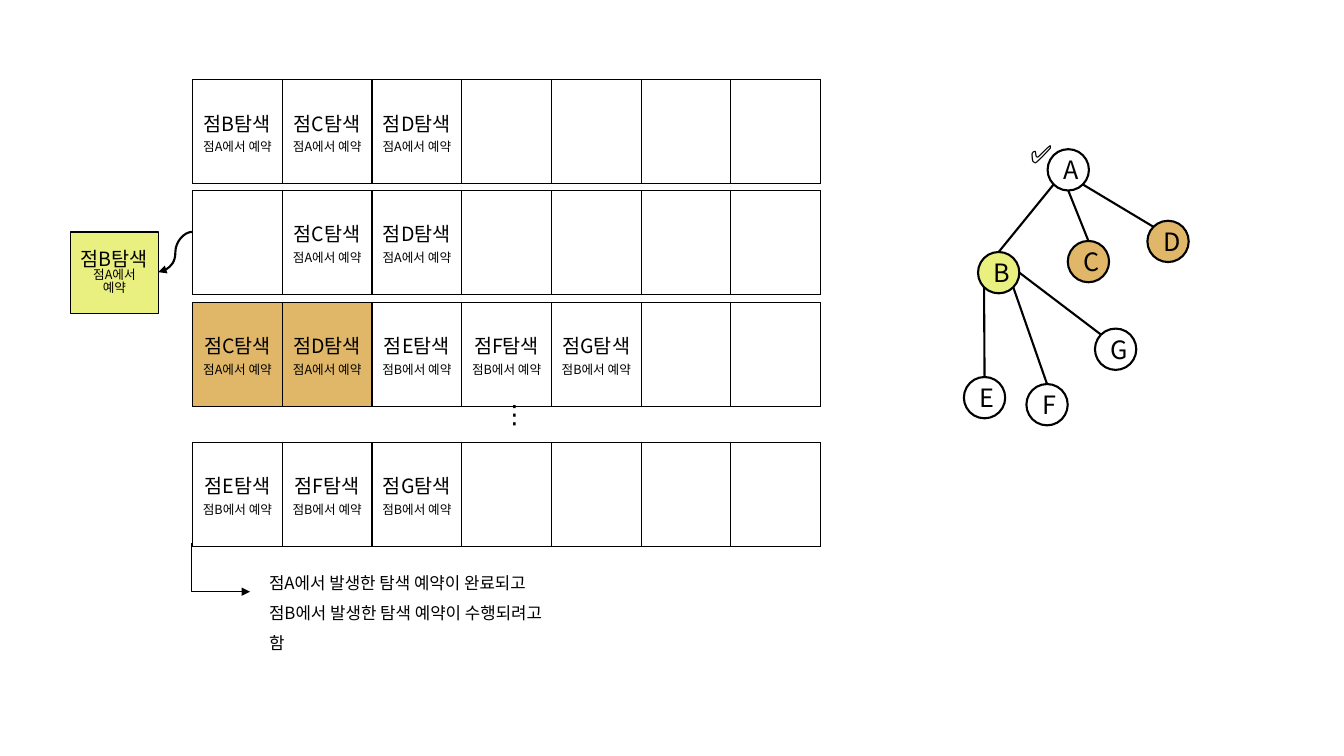
from math import cos, radians, sin

from lxml.etree import SubElement
from pptx import Presentation
from pptx.dml.color import RGBColor
from pptx.enum.shapes import MSO_CONNECTOR as Connector, MSO_SHAPE as Shape
from pptx.enum.text import MSO_ANCHOR as Anchor, PP_ALIGN as Align
from pptx.oxml.ns import qn
from pptx.util import Pt

PX = 9144  # 100 px to the inch
FONT = "Noto Sans CJK KR"
COLORS = {"black": "000000", "white": "FFFFFF", "current": "E9F07F", "waiting": "E0B768"}
COLUMNS, CELL_WIDTH, CELL_HEIGHT = 7, 89, 81
NODE_SIZE = 41

# Top of each queue, its points as (point, reserved by), and how many are highlighted
QUEUES = [
    (79, [("B", "A"), ("C", "A"), ("D", "A")], 0),
    (189, [None, ("C", "A"), ("D", "A")], 0),
    (300, [("C", "A"), ("D", "A"), ("E", "B"), ("F", "B"), ("G", "B")], 2),
    (439, [("E", "B"), ("F", "B"), ("G", "B")], 0),
]
# Left, top and fill of each tree node, relative to the tree
NODES = {
    "A": (83, 0, "white"), "C": (103, 91, "waiting"), "B": (14, 102, "current"),
    "D": (182, 71, "waiting"), "E": (0, 226, "white"), "G": (130, 178, "white"),
    "F": (62, 233, "white"),
}
# Parent, angle where the edge leaves it, child, angle where it arrives (clockwise from right)
EDGES = [
    ("A", 90, "C", 270), ("A", 135, "B", 270), ("A", 45, "D", 225),
    ("B", 135, "E", 270), ("B", 45, "F", 270), ("B", 0, "G", 225),
]


def emu(*lengths):
    return [round(length * PX) for length in lengths]


def rgb(name):
    return RGBColor.from_string(COLORS[name])


def write(frame, lines, align=Align.CENTER, spacing=None):
    """Write (text, size) pairs as paragraphs."""
    for index, (text, size) in enumerate(lines):
        paragraph = frame.paragraphs[0] if index == 0 else frame.add_paragraph()
        paragraph.alignment = align
        if spacing:
            paragraph.line_spacing = spacing
        run = paragraph.add_run()
        run.text = text
        run.font.size = Pt(size)
        run.font.name = FONT
        run.font.color.rgb = rgb("black")
        SubElement(run.font._element, qn("a:ea"), typeface=FONT)


def reservation(point, origin):
    return [(f"점{point}탐색", 14), (f"점{origin}에서 예약", 9)]


def add_box(slide, kind, box, fill, width, lines, spacing=None):
    shape = slide.shapes.add_shape(kind, *emu(*box))
    shape.shadow.inherit = False
    shape.fill.solid()
    shape.fill.fore_color.rgb = rgb(fill)
    shape.line.color.rgb = rgb("black")
    shape.line.width = Pt(width)
    shape.text_frame.vertical_anchor = Anchor.MIDDLE
    write(shape.text_frame, lines, spacing=spacing)


def add_label(slide, box, lines, wrap=False, **style):
    frame = slide.shapes.add_textbox(*emu(*box)).text_frame
    frame.word_wrap = wrap
    write(frame, lines, **style)


def add_line(slide, kind, start, end, width, arrow=False, bend=None):
    line = slide.shapes.add_connector(kind, *emu(*start, *end))
    line.line.color.rgb = rgb("black")
    line.line.width = Pt(width)
    if arrow:
        SubElement(line.line._get_or_add_ln(), qn("a:tailEnd"), type="triangle")
    properties = line._element.spPr
    SubElement(properties, qn("a:effectLst"))
    if bend is not None:
        guides = properties.find(qn("a:prstGeom")).get_or_add_avLst()
        SubElement(guides, qn("a:gd"), name="adj1", fmla=f"val {bend}")


def format_cell(cell, fill):
    cell.vertical_anchor = Anchor.MIDDLE
    properties = cell._tc.get_or_add_tcPr()
    for side in ("lnL", "lnR", "lnT", "lnB"):
        border = SubElement(properties, qn(f"a:{side}"), w=str(Pt(1)))
        color = SubElement(border, qn("a:solidFill"))
        SubElement(color, qn("a:srgbClr"), val=COLORS["black"])
    cell.fill.solid()
    cell.fill.fore_color.rgb = rgb(fill)


def add_queue(slide, left, top, points, highlighted):
    box = emu(left, top, COLUMNS * CELL_WIDTH, CELL_HEIGHT)
    table = slide.shapes.add_table(1, COLUMNS, *box).table
    table.first_row = table.horz_banding = False
    for column in range(COLUMNS):
        table.columns[column].width = CELL_WIDTH * PX
        cell = table.cell(0, column)
        format_cell(cell, "waiting" if column < highlighted else "white")
        if column < len(points) and points[column]:
            write(cell.text_frame, reservation(*points[column]))


def add_queues(slide, left):
    for top, points, highlighted in QUEUES:
        add_queue(slide, left, top, points, highlighted)
    add_label(slide, (left + 297, 390, 28, 40), [("⋮", 18)])

    # Point taken out of the queue
    add_line(slide, Connector.CURVE, (left, 230), (left - 34, 270), 1.5, arrow=True)
    add_box(slide, Shape.RECTANGLE, (left - 121, 230, 87, 81), "current", 1,
            reservation("B", "A"), spacing=0.82)

    # Explanation of the last queue
    add_line(slide, Connector.ELBOW, (left, 539), (left + 57, 587), 1, arrow=True, bend=-1800)
    add_label(slide, (left + 66, 553, 298, 67),
              [("점A에서 발생한 탐색 예약이 완료되고", 12),
               ("점B에서 발생한 탐색 예약이 수행되려고 함", 12)],
              wrap=True, align=Align.LEFT, spacing=1.5)


def add_tree(slide, left, top):
    def rim(name, angle):
        x, y, _ = NODES[name]
        radius = NODE_SIZE / 2
        return (left + x + radius * (1 + cos(radians(angle))),
                top + y + radius * (1 + sin(radians(angle))))

    for name, (x, y, fill) in NODES.items():
        box = (left + x, top + y, NODE_SIZE, NODE_SIZE)
        add_box(slide, Shape.OVAL, box, fill, 1.5, [(name, 18)])
    for parent, leave, child, arrive in EDGES:
        add_line(slide, Connector.STRAIGHT, rim(parent, leave), rim(child, arrive), 1.5)
    add_label(slide, (left + 56, top - 16, 55, 40), [("✅", 18)], align=Align.LEFT)


def main():
    presentation = Presentation()
    presentation.slide_width, presentation.slide_height = emu(1333, 750)
    slide = presentation.slides.add_slide(presentation.slide_layouts[6])
    add_queues(slide, left=191)
    add_tree(slide, left=956, top=148)
    presentation.save("out.pptx")


if __name__ == "__main__":
    main()
